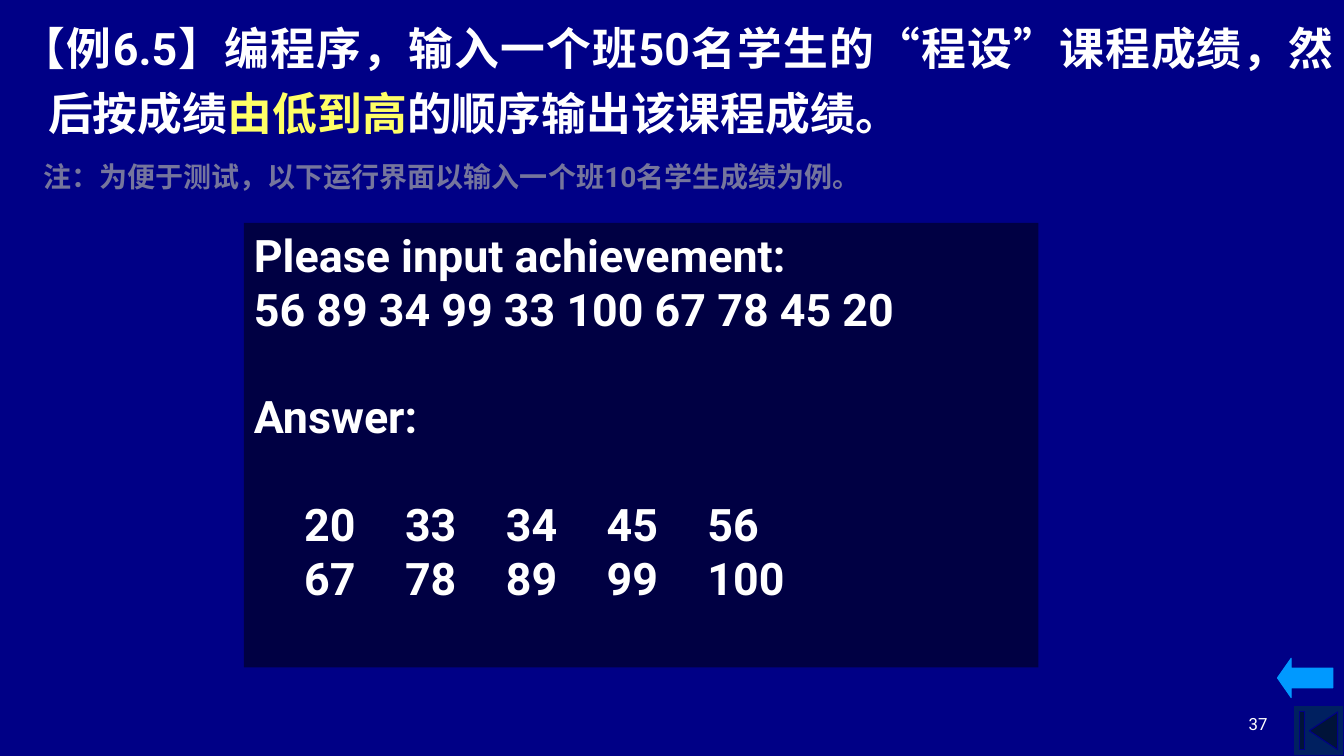
from dataclasses import dataclass

import pptx
import pptx.dml.color
import pptx.enum.shapes
import pptx.enum.text
import pptx.oxml.ns
import pptx.util
from lxml import etree

SHAPE = pptx.enum.shapes.MSO_SHAPE
ALIGN = pptx.enum.text.PP_ALIGN
ANCHOR = pptx.enum.text.MSO_ANCHOR
WIDTH = pptx.util.Inches(13.333)
HEIGHT = pptx.util.Inches(7.5)
FONT = "Roboto"
NAVY, WHITE, YELLOW = "000086", "FFFFFF", "FFFF66"


@dataclass
class Area:
    """A rectangle in percent of the slide's width and height."""
    left: float
    top: float
    width: float
    height: float

    def lengths(self) -> tuple[int, int, int, int]:
        return (round(WIDTH * self.left / 100), round(HEIGHT * self.top / 100),
                round(WIDTH * self.width / 100), round(HEIGHT * self.height / 100))


@dataclass
class Block:
    """A filled preset shape."""
    kind: SHAPE
    area: Area
    fill: str
    line: str | None = None
    adjustments: tuple[float, ...] = ()


@dataclass
class Line:
    """A paragraph made of (text, colour) spans."""
    spans: list[tuple[str, str]]
    size: float
    bold: bool = True
    align: ALIGN = ALIGN.LEFT
    before: float = 0
    spacing: float | None = None
    margin: float = 0
    indent: float = 0
    tabs: tuple[float, ...] = ()


def colour(value: str) -> pptx.dml.color.RGBColor:
    return pptx.dml.color.RGBColor.from_string(value)


def draw_block(page, block: Block):
    shape = page.shapes.add_shape(block.kind, *block.area.lengths())
    shape.shadow.inherit = False
    shape.fill.solid()
    shape.fill.fore_color.rgb = colour(block.fill)
    if block.line:
        shape.line.color.rgb = colour(block.line)
        shape.line.width = pptx.util.Pt(0.75)
    else:
        shape.line.fill.background()
    for index, value in enumerate(block.adjustments):
        shape.adjustments[index] = value
    return shape


def set_layout(para, line: Line) -> None:
    """Indents and centred tab stops."""
    properties = para._p.get_or_add_pPr()
    properties.set("marL", str(pptx.util.Inches(line.margin)))
    properties.set("indent", str(pptx.util.Inches(line.indent)))
    if line.tabs:
        tab_list = etree.SubElement(properties, pptx.oxml.ns.qn("a:tabLst"))
        for stop in line.tabs:
            etree.SubElement(tab_list, pptx.oxml.ns.qn("a:tab"),
                             pos=str(pptx.util.Inches(stop)), algn="ctr")


def write_lines(shape, lines: list[Line], anchor: ANCHOR = ANCHOR.TOP) -> None:
    frame = shape.text_frame
    frame.word_wrap = True
    frame.vertical_anchor = anchor
    for index, line in enumerate(lines):
        para = frame.add_paragraph() if index else frame.paragraphs[0]
        set_layout(para, line)
        para.alignment = line.align
        if line.before:
            para.space_before = pptx.util.Pt(line.before)
        if line.spacing:
            para.line_spacing = line.spacing
        para.font.name = FONT
        para.font.size = pptx.util.Pt(line.size)
        para.font.bold = line.bold
        for text, tint in line.spans:
            span = para.add_run()
            span.text = text
            span.font.color.rgb = colour(tint)


def draw_text(page, area: Area, line: Line, anchor: ANCHOR = ANCHOR.TOP) -> None:
    write_lines(page.shapes.add_textbox(*area.lengths()), [line], anchor)


def console_lines() -> list[Line]:
    blank_row = 38.5  # height of one empty console row, in points
    stops = tuple(0.68 + 0.955 * column for column in range(5))
    rows = [
        ("Please input achievement:", 0, ()),
        ("56 89 34 99 33 100 67 78 45 20", 0, ()),
        ("Answer:", blank_row, ()),
        ("\t20\t33\t34\t45\t56", blank_row, stops),
        ("\t67\t78\t89\t99\t100", 0, stops),
    ]
    return [Line([(text, WHITE)], 32, before=before, tabs=tabs)
            for text, before, tabs in rows]


def main() -> None:
    deck = pptx.Presentation()
    deck.slide_width, deck.slide_height = WIDTH, HEIGHT
    page = deck.slides.add_slide(deck.slide_layouts[6])
    page.background.fill.solid()
    page.background.fill.fore_color.rgb = colour(NAVY)

    # Navigation button and page number
    draw_block(page, Block(SHAPE.ACTION_BUTTON_BEGINNING,
                           Area(96.25, 93.33, 3.75, 6.67), "002060", NAVY))
    draw_text(page, Area(71.72, 91.07, 23.33, 6.67),
              Line([("37", WHITE)], 12, bold=False, align=ALIGN.RIGHT), ANCHOR.BOTTOM)

    # Exercise statement and note
    statement = [
        ("【例6.5】编程序，输入一个班50名学生的“程设”课程成绩，然后按成绩", WHITE),
        ("由低到高", YELLOW),
        ("的顺序输出该课程成绩。", WHITE),
    ]
    draw_text(page, Area(0, 0.67, 100, 18.27),
              Line(statement, 32, align=ALIGN.JUSTIFY, spacing=1.2,
                   margin=0.38, indent=-0.27))
    note = "注：为便于测试，以下运行界面以输入一个班10名学生成绩为例。"
    draw_text(page, Area(2.48, 20.4, 62.04, 5.87), Line([(note, "75759D")], 20))

    # Back arrow
    draw_block(page, Block(SHAPE.LEFT_ARROW, Area(95.05, 87.07, 4.13, 5.2),
                           "0099FF", "0099FF", (0.5, 0.35)))

    # Console window with a sample run
    console = draw_block(page, Block(SHAPE.RECTANGLE,
                                     Area(18.15, 29.47, 59.11, 58.8), "000043"))
    write_lines(console, console_lines())

    deck.save("out.pptx")


if __name__ == "__main__":
    main()
